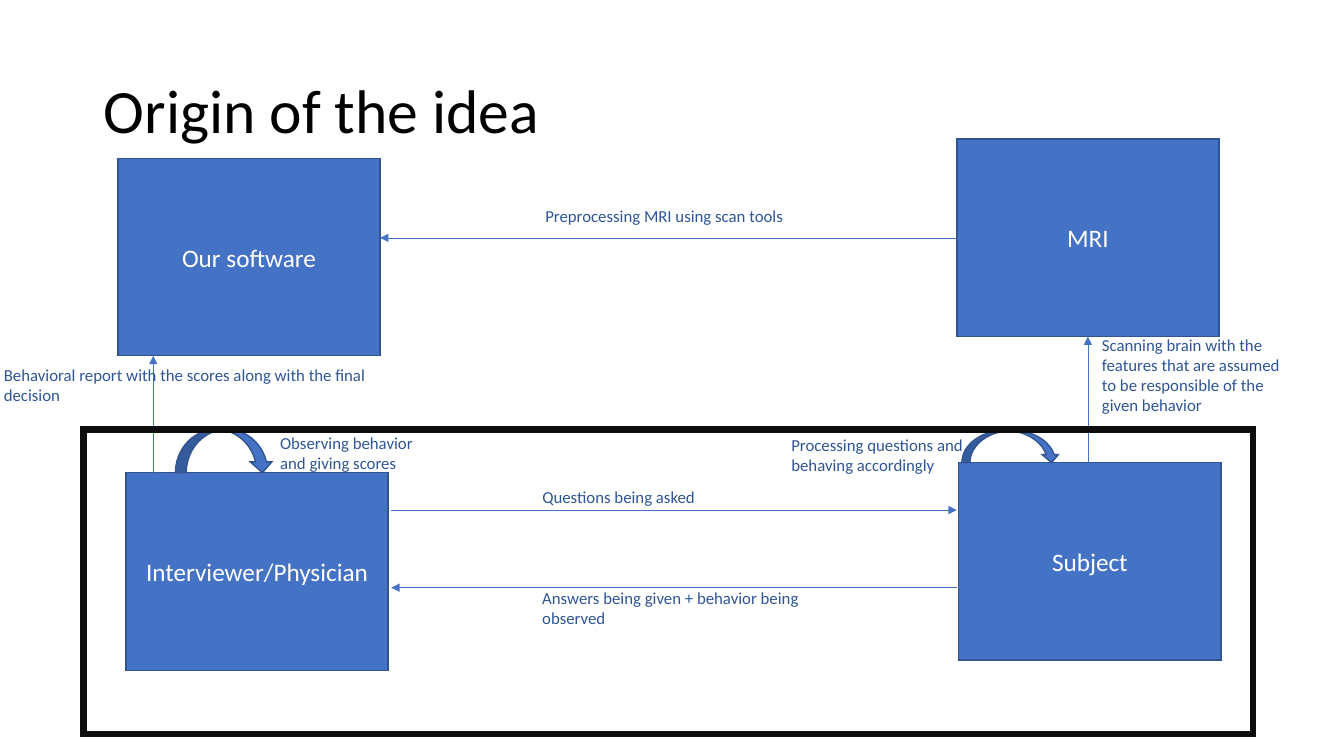
from dataclasses import dataclass

from lxml.etree import SubElement
from pptx import Presentation
from pptx.dml.color import RGBColor
from pptx.enum.shapes import MSO_CONNECTOR, MSO_SHAPE
from pptx.enum.text import MSO_ANCHOR, PP_ALIGN
from pptx.oxml.ns import qn
from pptx.util import Inches, Pt


@dataclass(frozen=True)
class Theme:
    font: str = "Calibri"
    title: str = "000000"
    fill: str = "4472C4"
    outline: str = "325491"
    label: str = "2F5597"
    on_fill: str = "FFFFFF"
    frame: str = "0D0D0D"
    title_size: float = 44
    box_size: float = 18
    label_size: float = 12
    arrow_width: float = 0.5
    outline_width: float = 1
    frame_width: float = 4.5


THEME = Theme()
BOX_W, BOX_H = 2.6, 1.96

BOXES = [  # text, left, top
    ("Interviewer/Physician", 1.25, 4.69),
    ("Subject", 9.51, 4.59),
    ("MRI", 9.49, 1.38),
    ("Our software", 1.17, 1.57),
]
ARROWS = [  # start x, start y, end x, end y
    (3.88, 5.06, 9.49, 5.06),
    (9.49, 5.83, 3.88, 5.83),
    (10.79, 4.69, 10.79, 3.34),
    (9.49, 2.36, 3.77, 2.36),
    (1.52, 4.69, 1.52, 3.53),
]
LOOPS = [  # left, top, width, height
    (9.54, 4.27, 0.97, 0.32),
    (1.74, 4.26, 0.97, 0.43),
]
LABELS = [  # text, left, top, width, height
    ("Questions being asked", 5.28, 4.78, 1.78, 0.61),
    ("Answers being given + behavior being observed", 5.28, 5.78, 3.13, 0.81),
    ("Processing questions and behaving accordingly", 7.75, 4.26, 2.42, 0.81),
    ("Observing behavior and giving scores", 2.68, 4.24, 1.78, 0.81),
    ("Scanning brain with the features that are assumed to be responsible "
     "of the given behavior", 10.83, 3.27, 2.09, 1.21),
    ("Preprocessing MRI using scan tools", 5.31, 1.99, 3.94, 0.61),
    ("Behavioral report with the scores along with the final decision",
     -0.06, 3.57, 3.94, 0.81),
]


def rgb(color):
    return RGBColor.from_string(color)


def inches(*lengths):
    return [Inches(length) for length in lengths]


def write(sp, text, *, size, color, align=PP_ALIGN.LEFT,
          anchor=MSO_ANCHOR.TOP, spacing=None):
    tf = sp.text_frame
    tf.word_wrap = True
    tf.vertical_anchor = anchor
    p = tf.paragraphs[0]
    p.alignment = align
    p.line_spacing = spacing
    r = p.add_run()
    r.text = text
    r.font.name = THEME.font
    r.font.size = Pt(size)
    r.font.color.rgb = rgb(color)


def add_title(slide, text):
    sp = slide.shapes.title
    sp.left, sp.top, sp.width, sp.height = inches(0.93, 0.4, 11.5, 1.45)
    write(sp, text, size=THEME.title_size, color=THEME.title,
          anchor=MSO_ANCHOR.MIDDLE, spacing=0.9)


def add_outlined(slide, kind, *bounds, fill=THEME.fill, line=THEME.outline,
                 width=THEME.outline_width):
    """Add a preset shape with sharp corners; fill=None leaves it hollow."""
    sp = slide.shapes.add_shape(kind, *inches(*bounds))
    sp.shadow.inherit = False
    if fill:
        sp.fill.solid()
        sp.fill.fore_color.rgb = rgb(fill)
    else:
        sp.fill.background()
    sp.line.color.rgb = rgb(line)
    sp.line.width = Pt(width)
    SubElement(sp._element.spPr.find(qn("a:ln")), qn("a:miter"), lim="800000")
    return sp


def add_box(slide, text, left, top):
    sp = add_outlined(slide, MSO_SHAPE.RECTANGLE, left, top, BOX_W, BOX_H)
    write(sp, text, size=THEME.box_size, color=THEME.on_fill,
          align=PP_ALIGN.CENTER, anchor=MSO_ANCHOR.MIDDLE)


def add_arrow(slide, *ends):
    sp = slide.shapes.add_connector(MSO_CONNECTOR.STRAIGHT, *inches(*ends))
    sp.line.color.rgb = rgb(THEME.fill)
    sp.line.width = Pt(THEME.arrow_width)
    sp_pr = sp._element.spPr
    SubElement(sp_pr.find(qn("a:ln")), qn("a:tailEnd"), type="triangle")
    SubElement(sp_pr, qn("a:effectLst"))


def add_label(slide, text, *bounds):
    sp = slide.shapes.add_textbox(*inches(*bounds))
    write(sp, text, size=THEME.label_size, color=THEME.label)


def main():
    prs = Presentation()
    prs.slide_width, prs.slide_height = inches(13.33, 7.5)
    slide = prs.slides.add_slide(prs.slide_layouts.get_by_name("Title Only"))

    add_title(slide, "Origin of the idea")
    for box in BOXES:
        add_box(slide, *box)
    for arrow in ARROWS:
        add_arrow(slide, *arrow)
    for loop in LOOPS:
        add_outlined(slide, MSO_SHAPE.CURVED_DOWN_ARROW, *loop)
    for label in LABELS:
        add_label(slide, *label)
    add_outlined(slide, MSO_SHAPE.RECTANGLE, 0.83, 4.26, 11.6, 3.02,
                 fill=None, line=THEME.frame, width=THEME.frame_width)

    prs.save("out.pptx")


if __name__ == "__main__":
    main()
